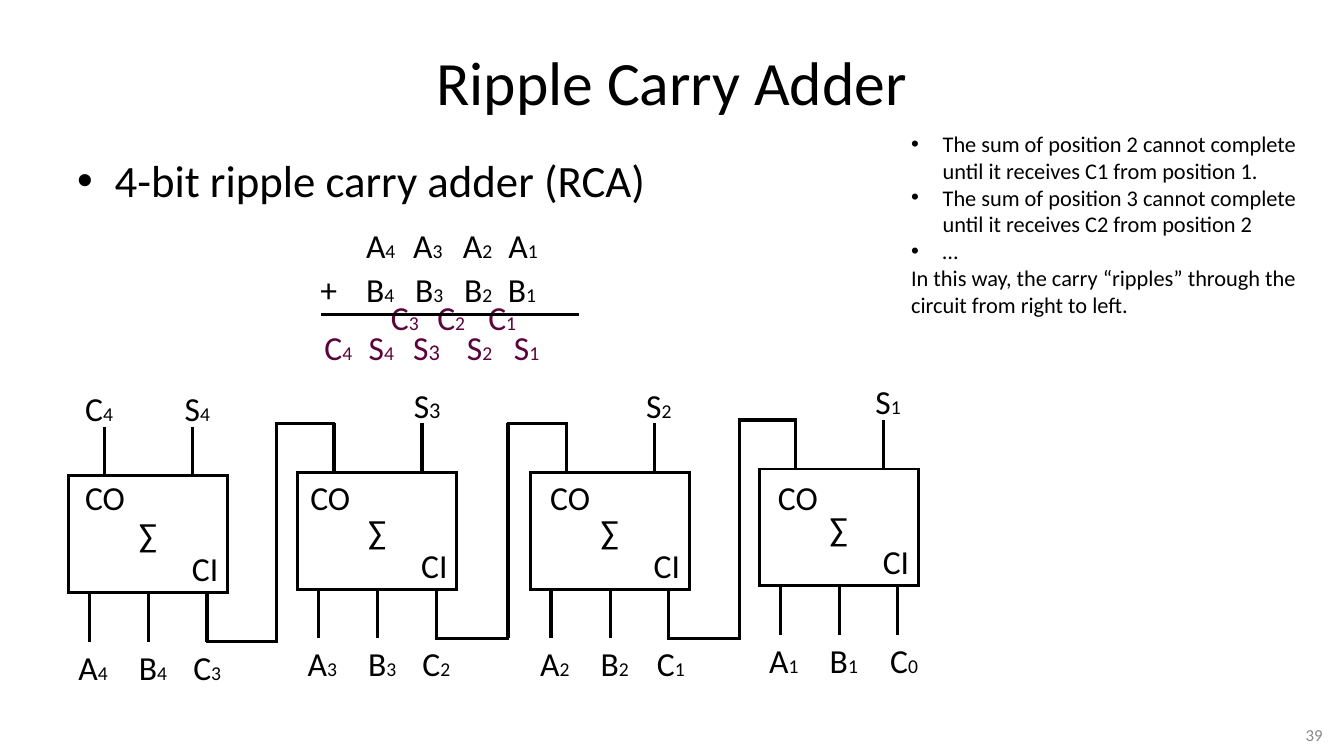
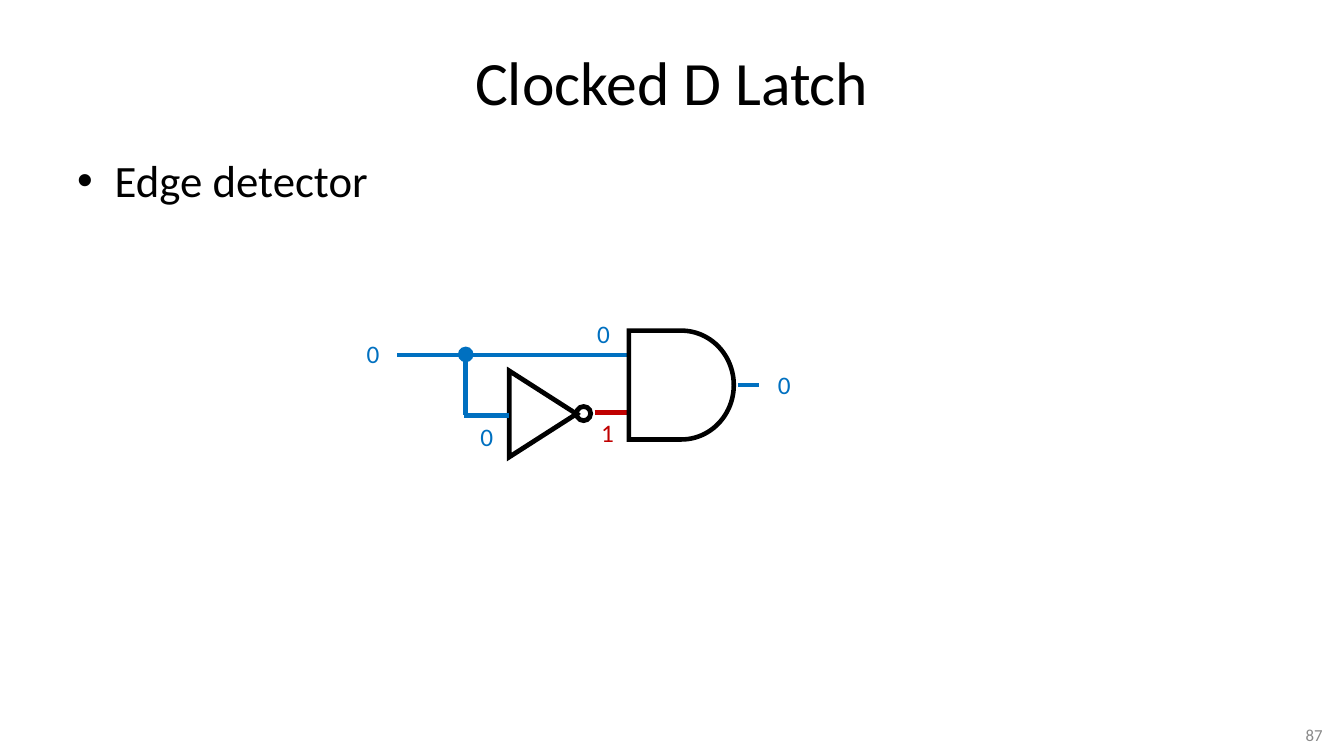
from lxml.etree import SubElement
from pptx import Presentation
from pptx.dml.color import RGBColor
from pptx.enum.shapes import MSO_CONNECTOR, MSO_SHAPE
from pptx.enum.text import MSO_ANCHOR, PP_ALIGN
from pptx.oxml.ns import qn
from pptx.util import Inches, Pt

WIDE, HIGH = Inches(13.333), Inches(7.5)
COLS = 100
UNIT = WIDE / COLS
FONT = "Calibri"
BLACK = RGBColor(0, 0, 0)
WHITE = RGBColor(255, 255, 255)
GRAY = RGBColor(0x89, 0x89, 0x89)
PLUM = RGBColor(0x5C, 0x03, 0x3C)
BLUE = RGBColor(0x00, 0x70, 0xC0)
RED = RGBColor(0xC0, 0x00, 0x00)

BOX_W, BOX_H, PIN = 11.85, 8.7, 3.65
INS, OUTS = (1.55, 5.95, 10.3), (2.7, 9.25)
ADDERS = [
    (4, 5.1, 35.4, 5.6, 8.55),
    (3, 22.15, 35.15, 22.35, 8.55),
    (2, 39.45, 35.15, 40.2, 8.7),
    (1, 56.5, 34.9, 57.15, 9),
]
SUMS = [
    (16.35, BLACK, {"A4": 26.5, "A3": 30, "A2": 33.7, "A1": 37.1}),
    (19.65, BLACK, {"+": 23.1, "B4": 26.5, "B3": 30.15, "B2": 33.8, "B1": 37.05}),
    (21.75, PLUM, {"C3": 28.35, "C2": 31.8, "C1": 35.6}),
    (23.95, PLUM, {"C4": 23.4, "S4": 26.7, "S3": 30, "S2": 34, "S1": 37.5}),
]
NOTES = [
    "The sum of position 2 cannot complete until it receives C1 from position 1.",
    "The sum of position 3 cannot complete until it receives C2 from position 2",
    "…",
]
CLOSE = "In this way, the carry “ripples” through the circuit from right to left."


def grid(*spans):
    return [round(span * UNIT) for span in spans]


def style(para, size, color=BLACK):
    for run in para.runs:
        run.font.name = FONT
        run.font.size = Pt(size)
        run.font.color.rgb = color


def text(slide, spot, lines, size, color=BLACK):
    frame = slide.shapes.add_textbox(*grid(*spot)).text_frame
    frame.word_wrap = True
    frame.text = "\n".join(lines)
    for para in frame.paragraphs:
        style(para, size, color)
    return frame


def bullet(para, gap):
    props = para._p.get_or_add_pPr()
    inset = grid(gap)[0]
    props.set("marL", str(inset))
    props.set("indent", str(-inset))
    SubElement(props, qn("a:buFont")).set("typeface", "Arial")
    SubElement(props, qn("a:buChar")).set("char", "•")


def label(slide, left, top, mark, color=BLACK):
    para = text(slide, (left, top, 6, 3.75), [mark], 24, color).paragraphs[0]
    if mark[-1].isdigit():
        para.text = mark[0]
        para.add_run().text = mark[1]
        style(para, 24, color)
        para.runs[1].font.size = Pt(16 if mark == "S3" else 14)


def wire(slide, start, end, color=BLACK, width=2.25):
    line = slide.shapes.add_connector(MSO_CONNECTOR.STRAIGHT, *grid(*start, *end))
    line.line.color.rgb = color
    line.line.width = Pt(width)
    SubElement(line._element.spPr, qn("a:effectLst"))


def shape(slide, kind, spot, width, fill=None, color=BLACK):
    item = slide.shapes.add_shape(kind, *grid(*spot))
    item.shadow.inherit = False
    if fill is None:
        item.fill.background()
    else:
        item.fill.solid()
        item.fill.fore_color.rgb = fill
    item.line.color.rgb = color
    item.line.width = Pt(width)
    SubElement(item.line._ln, qn("a:miter")).set("lim", "800000")
    return item


def page(deck, title, topic, number):
    slide = deck.slides.add_slide(deck.slide_layouts[5])
    head = slide.shapes.title
    head.left, head.top, head.width, head.height = grid(5, 2.25, 90, 7.6)
    frame = head.text_frame
    frame.text = title
    frame.vertical_anchor = MSO_ANCHOR.MIDDLE
    frame.paragraphs[0].alignment = PP_ALIGN.CENTER
    style(frame.paragraphs[0], 44)
    body = text(slide, (5, 11, 90, 5), [topic], 32)
    bullet(body.paragraphs[0], 2.8)
    foot = text(slide, (88.45, 53.55, 10.7, 2.2), [number], 12, GRAY)
    foot.vertical_anchor = MSO_ANCHOR.MIDDLE
    foot.paragraphs[0].alignment = PP_ALIGN.RIGHT
    return slide


def adder(slide, bit, left, top, out, carry):
    base = top + BOX_H
    shape(slide, MSO_SHAPE.RECTANGLE, (left, top, BOX_W, BOX_H), 2, WHITE)
    for pin in INS:
        wire(slide, (left + pin, base), (left + pin, base + PIN))
    for pin in OUTS:
        wire(slide, (left + pin, top - PIN), (left + pin, top))
    marks = [
        (f"A{bit}", 0, base + PIN),
        (f"B{bit}", 4.5, base + PIN),
        (f"C{bit - 1}", carry, base + PIN),
        (f"S{bit}", 7.9, top - 6.9),
        ("∑", 4.5, top + 2.5),
        ("CI", 8.45, top + 5),
    ]
    for mark, shift, row in marks:
        label(slide, left + shift, row, mark)
    label(slide, out, 35.1, "CO")


def ripple(slide):
    for step, (low, high) in enumerate(zip(ADDERS, ADDERS[1:])):
        start, end = low[1] + INS[-1], high[1] + OUTS[0]
        base, top = low[2] + BOX_H + PIN, high[2] - PIN
        mid = 20.6 + 17.2 * step
        wire(slide, (start - 0.1, base), (mid + 0.1, base))
        wire(slide, (mid, base), (mid, top))
        wire(slide, (mid - 0.1, top), (end + 0.1, top))


def carry_page(deck):
    slide = page(deck, "Ripple Carry Adder", "4-bit ripple carry adder (RCA)", "39")
    for item in ADDERS:
        adder(slide, *item)
    ripple(slide)
    label(slide, 5.6, 28.5, "C4")
    for row, color, marks in SUMS:
        for mark, left in marks.items():
            label(slide, left, row, mark, color)
    wire(slide, (23.9, 23.4), (43.1, 23.4))
    notes = text(slide, (67.05, 9.3, 32.2, 14.9), NOTES + [CLOSE], 16)
    for para in notes.paragraphs[:-1]:
        bullet(para, 2.35)


def latch_page(deck):
    slide = page(deck, "Clocked D Latch", "Edge detector", "87")
    gate = shape(slide, MSO_SHAPE.ISOSCELES_TRIANGLE, (37.2, 28.3, 6.4, 5), 3.4)
    gate.rotation = 90
    shape(slide, MSO_SHAPE.OVAL, (42.9, 30.25, 1.05, 1.05), 3.4)
    wires = [
        ((29.55, 26.4), (46.9, 26.4), BLUE),
        ((34.65, 26.4), (34.65, 30.9), BLUE),
        ((34.5, 30.9), (37.85, 30.9), BLUE),
        ((44.25, 30.7), (46.9, 30.7), RED),
        ((54.9, 28.65), (56.5, 28.65), BLUE),
    ]
    for start, end, color in wires:
        wire(slide, start, end, color, 3.25)
    shape(slide, MSO_SHAPE.FLOWCHART_DELAY, (46.8, 24.6, 7.8, 8.1), 3.25)
    shape(slide, MSO_SHAPE.FLOWCHART_CONNECTOR, (34.18, 25.9, 0.95, 0.95), 2, BLUE, BLUE)
    marks = [
        (43.7, 23.3, "0", BLUE),
        (26.55, 24.8, "0", BLUE),
        (57.15, 27.1, "0", BLUE),
        (44, 30.7, "1", RED),
        (35, 31, "0", BLUE),
    ]
    for left, top, mark, color in marks:
        text(slide, (left, top, 3.3, 3), [mark], 18, color)


def main():
    deck = Presentation()
    deck.slide_width, deck.slide_height = WIDE, HIGH
    carry_page(deck)
    latch_page(deck)
    deck.save("out.pptx")


if __name__ == "__main__":
    main()
